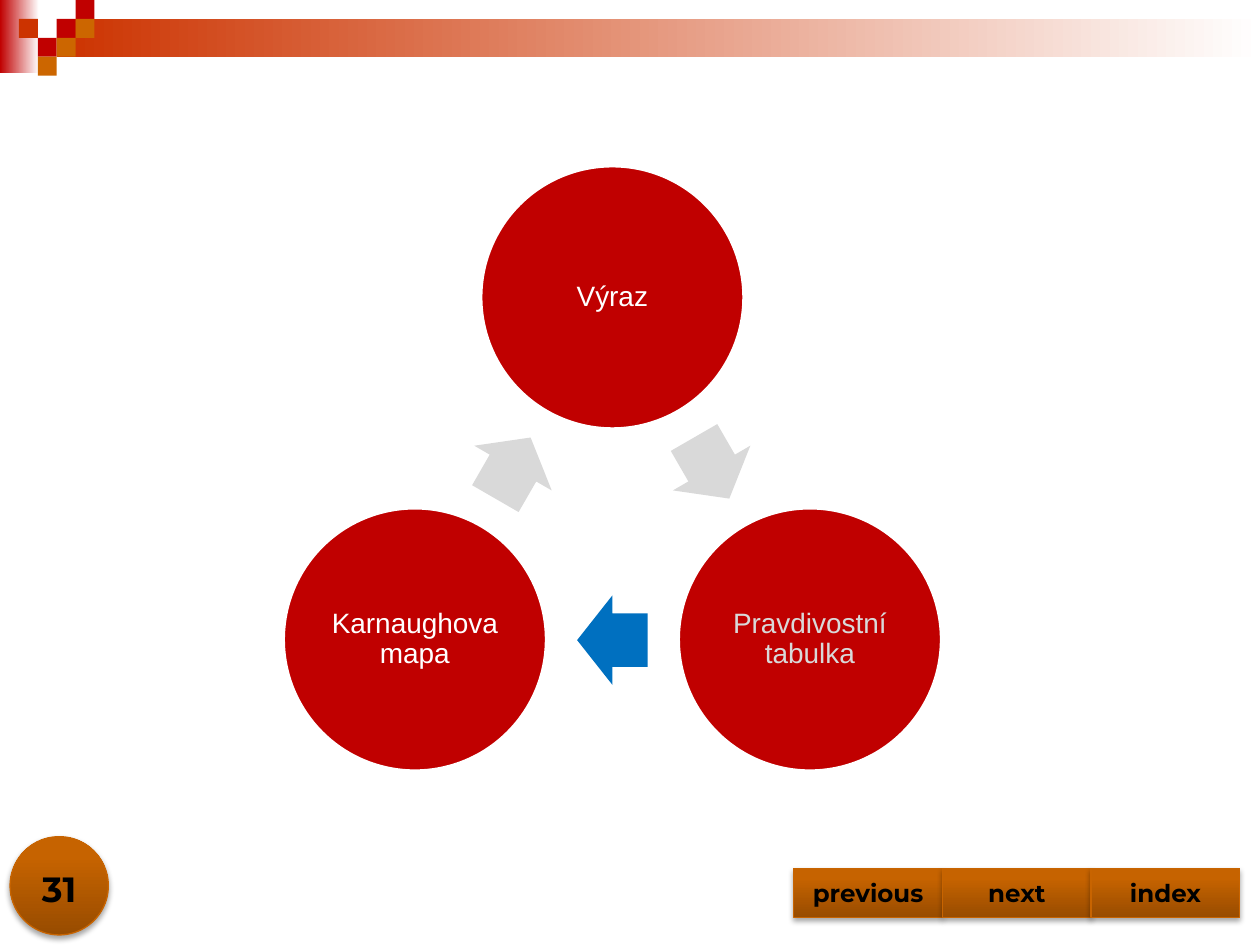
from dataclasses import dataclass
from math import cos, radians, sin

from lxml.etree import SubElement
from pptx import Presentation
from pptx.dml.color import RGBColor
from pptx.enum.shapes import MSO_SHAPE
from pptx.enum.text import MSO_ANCHOR, PP_ALIGN
from pptx.oxml.ns import qn
from pptx.util import Inches, Pt


@dataclass(frozen=True)
class Theme:
    red: str = "C00000"
    rust: str = "CC3300"
    orange: str = "CC6600"
    white: str = "FFFFFF"
    black: str = "000000"
    grey: str = "D9D9D9"
    blue: str = "0070C0"
    button_line: str = "C86400"
    button_stops: tuple = ((0, "984C00"), (80, "C66300"), (100, "C76300"))
    body_font: str = "Arial"
    button_font: str = "Montserrat"
    node_size: int = 16
    button_size: int = 14
    number_size: int = 20


THEME = Theme()


def add_figure(page, kind, left, top, width, height, fill=None):
    figure = page.shapes.add_shape(
        kind, Inches(left), Inches(top), Inches(width), Inches(height))
    figure.shadow.inherit = False
    figure.line.fill.background()
    if fill:
        figure.fill.solid()
        figure.fill.fore_color.rgb = RGBColor.from_string(fill)
    return figure


def set_outline(figure, color, width):
    figure.line.color.rgb = RGBColor.from_string(color)
    figure.line.width = Pt(width)


def set_gradient(figure, stops, angle):
    """Fill with (percent, colour) stops; the angle runs clockwise."""
    properties = figure._element.spPr
    gradient = SubElement(properties, qn("a:gradFill"), rotWithShape="1")
    stop_list = SubElement(gradient, qn("a:gsLst"))
    for percent, color in stops:
        stop = SubElement(stop_list, qn("a:gs"), pos=str(percent * 1000))
        SubElement(stop, qn("a:srgbClr"), val=color)
    SubElement(gradient, qn("a:lin"), ang=str(angle * 60000), scaled="0")
    properties.find(qn("a:prstGeom")).addnext(gradient)


def set_shadow(figure):
    effects = figure._element.spPr.find(qn("a:effectLst"))
    shadow = SubElement(effects, qn("a:outerShdw"), blurRad="40000",
                        dist="23000", dir="5400000", rotWithShape="0")
    color = SubElement(shadow, qn("a:srgbClr"), val=THEME.black)
    SubElement(color, qn("a:alpha"), val="35000")


def write_text(box, text, font, size, color, bold=False, anchor=MSO_ANCHOR.MIDDLE):
    frame = box.text_frame
    frame.word_wrap = True
    frame.vertical_anchor = anchor
    para = frame.paragraphs[0]
    para.alignment = PP_ALIGN.CENTER
    span = para.add_run()
    span.text = text
    span.font.name = font
    span.font.size = Pt(size)
    span.font.bold = bold
    span.font.color.rgb = RGBColor.from_string(color)
    return para


def add_header(page):
    bands = (((0, 0, 0.31, 0.58), THEME.red), ((0.45, 0.15, 9.55, 0.3), THEME.rust))
    for place, color in bands:
        band = add_figure(page, MSO_SHAPE.RECTANGLE, *place)
        set_gradient(band, ((0, color), (100, THEME.white)), 0)
    side = 0.15
    squares = ((3, 1, THEME.red), (4, 0, THEME.red), (4, 1, THEME.orange),
               (2, 2, THEME.red), (1, 1, THEME.rust), (3, 2, THEME.orange),
               (2, 3, THEME.orange))
    for column, row, color in squares:
        add_figure(page, MSO_SHAPE.RECTANGLE,
                   column * side, row * side, side, side, color)


def add_cycle_node(page, x, y, text, color):
    diameter = 2.09
    node = add_figure(page, MSO_SHAPE.OVAL, x - diameter / 2, y - diameter / 2,
                      diameter, diameter, THEME.red)
    set_outline(node, THEME.white, 2)
    frame = node.text_frame
    frame.margin_left = frame.margin_right = Inches(0.02)
    frame.margin_top = frame.margin_bottom = Inches(0.02)
    para = write_text(node, text, THEME.body_font, THEME.node_size, color)
    para.line_spacing = 0.9


def add_cycle_arrow(page, x, y, rotation, color):
    length, breadth = 0.56, 0.71
    arrow = add_figure(page, MSO_SHAPE.RIGHT_ARROW, x - length / 2,
                       y - breadth / 2, length, breadth, color)
    arrow.adjustments[0] = 0.6
    arrow.adjustments[1] = 0.5
    arrow.rotation = rotation


def add_cycle(page):
    """Three nodes clockwise from the top, each followed by an arrow."""
    def place(angle, radius):
        return (4.86 + radius * cos(radians(angle)),
                4.17 + radius * sin(radians(angle)))

    steps = (("Výraz", THEME.white, THEME.grey),
             ("Pravdivostní tabulka", THEME.grey, THEME.blue),
             ("Karnaughova mapa", THEME.white, THEME.grey))
    for index, (text, text_color, arrow_color) in enumerate(steps):
        angle = 120 * index - 90
        add_cycle_node(page, *place(angle, 1.81), text, text_color)
        add_cycle_arrow(page, *place(angle + 60, 0.91), angle + 150, arrow_color)


def add_glossy_figure(page, kind, left, top, width, height):
    figure = add_figure(page, kind, left, top, width, height)
    set_gradient(figure, THEME.button_stops, 270)
    set_outline(figure, THEME.button_line, 0.75)
    set_shadow(figure)
    return figure


def add_navigation(page):
    width = 1.18
    for index, label in enumerate(("previous", "next", "index")):
        button = add_glossy_figure(page, MSO_SHAPE.ACTION_BUTTON_CUSTOM,
                                   6.3 + index * width, 6.89, width, 0.39)
        write_text(button, label, THEME.button_font, THEME.button_size,
                   THEME.black, bold=True)


def add_page_number(page):
    add_glossy_figure(page, MSO_SHAPE.OVAL, 0.08, 6.64, 0.78, 0.78)
    box = page.shapes.add_textbox(Inches(0), Inches(6.77), Inches(0.94), Inches(0.5))
    write_text(box, "31", THEME.button_font, THEME.number_size, THEME.black,
               bold=True, anchor=MSO_ANCHOR.BOTTOM)


def main():
    deck = Presentation()
    deck.slide_width = Inches(10)
    deck.slide_height = Inches(7.5)
    page = deck.slides.add_slide(deck.slide_layouts[6])
    add_header(page)
    add_cycle(page)
    add_navigation(page)
    add_page_number(page)
    deck.save("out.pptx")


if __name__ == "__main__":
    main()
